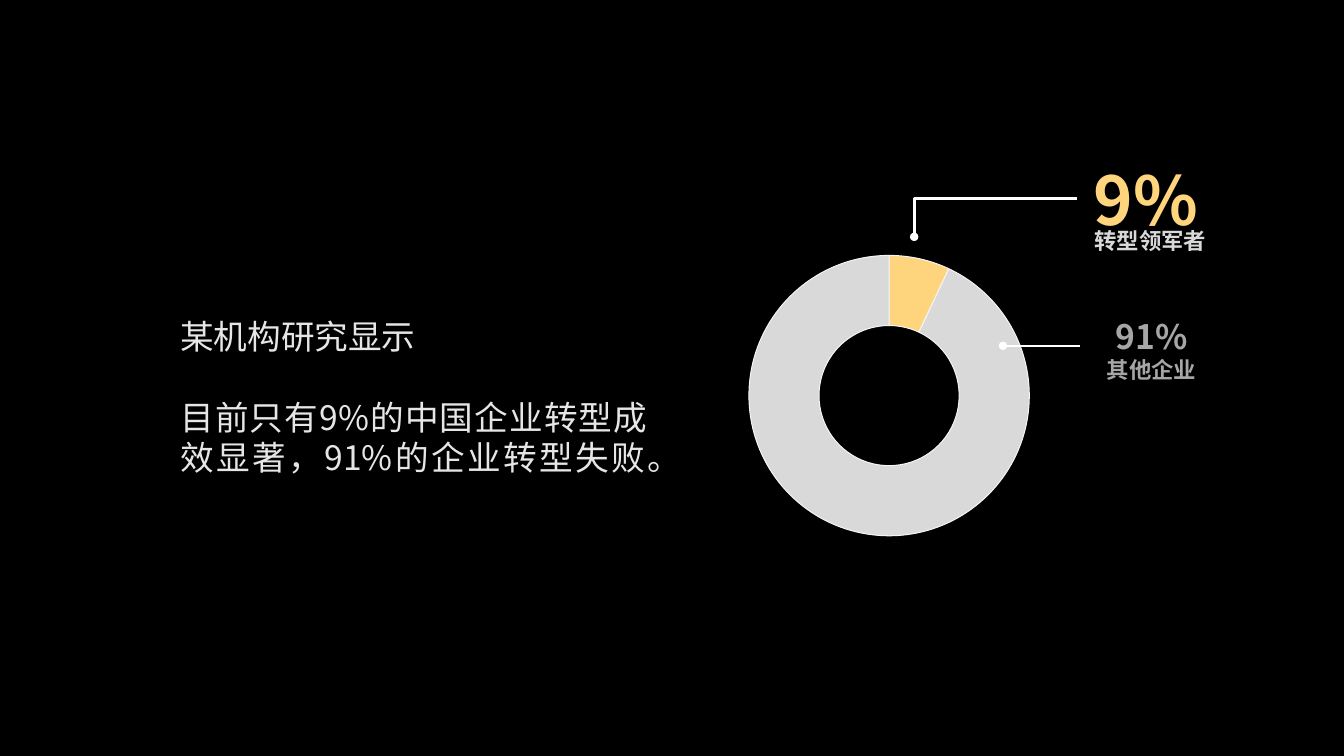
from lxml import etree
from pptx import Presentation
from pptx.chart.data import CategoryChartData
from pptx.dml.color import RGBColor
from pptx.enum.chart import XL_CHART_TYPE
from pptx.enum.shapes import MSO_CONNECTOR
from pptx.enum.text import PP_ALIGN
from pptx.oxml import parse_xml
from pptx.oxml.ns import nsdecls, qn
from pptx.util import Pt

FONT = "Noto Sans CJK SC"


def rgb(color):
    return RGBColor.from_string(color)


def add_text(x, y, w, h, lines, color, align, bold=True, gap=0):
    """Add a text box; lines holds (text, size) pairs, gap is the space between them."""
    tf = s.shapes.add_textbox(Pt(x), Pt(y), Pt(w), Pt(h)).text_frame
    tf.word_wrap = True
    tf.margin_top = Pt(3.6 + lines[0][1] * 0.1)
    for i, (text, size) in enumerate(lines):
        p = tf.paragraphs[0] if i == 0 else tf.add_paragraph()
        p.text = text
        p.alignment = align
        p.line_spacing = Pt(size * 1.2)
        if i and gap:
            p.space_before = Pt(gap)
        for r in p.runs:
            r.font.name = FONT
            r.font.size = Pt(size)
            r.font.bold = bold
            r.font.color.rgb = rgb(color)
            ea = etree.SubElement(r.font._element, qn("a:ea"))
            ea.set("typeface", FONT)


prs = Presentation()
prs.slide_width, prs.slide_height = Pt(960), Pt(540)
s = prs.slides.add_slide(prs.slide_layouts[6])
s.background.fill.solid()
s.background.fill.fore_color.rgb = rgb("000000")

# Doughnut chart
data = CategoryChartData()
data.categories = ["1", "2"]
data.add_series("Series 1", (7, 93))
chart = s.shapes.add_chart(XL_CHART_TYPE.DOUGHNUT, Pt(496), Pt(175.7),
                           Pt(282.2), Pt(218.2), data).chart
chart.has_legend = False
chart.has_title = False
chart.font.name = FONT
chart.font.size = Pt(10)
chart.font.color.rgb = rgb("000000")
plot = chart.plots[0]
plot.vary_by_categories = True
plot.has_data_labels = False
for i, color in enumerate(("FED47D", "D9D9D9")):
    fmt = plot.series[0].points[i].format
    fmt.fill.solid()
    fmt.fill.fore_color.rgb = rgb(color)
    fmt.line.color.rgb = rgb("F4F4F4")
    fmt.line.width = Pt(0.75)

# Hole size and plot position
plot._element.find(qn("c:holeSize")).set("val", "62")
area = chart._chartSpace.chart.plotArea
for old in area.findall(qn("c:layout")):
    area.remove(old)
places = "".join(f'<c:{k} val="{v}"/>' for k, v in (
    ("layoutTarget", "inner"), ("xMode", "edge"), ("yMode", "edge"),
    ("x", 0.138), ("y", 0.031), ("w", 0.71), ("h", 0.918)))
area.insert(0, parse_xml(
    f'<c:layout {nsdecls("c")}><c:manualLayout>{places}</c:manualLayout></c:layout>'))

# Callout lines with a round start
for kind, x1, y1, x2, y2, width in (
        (MSO_CONNECTOR.ELBOW, 653, 169.2, 769.3, 141.8, 2),
        (MSO_CONNECTOR.STRAIGHT, 716.4, 247, 771.1, 247, 1.75)):
    line = s.shapes.add_connector(kind, Pt(x1), Pt(y1), Pt(x2), Pt(y2))
    line.line.color.rgb = rgb("FFFFFF")
    line.line.width = Pt(width)
    sp_pr = line._element.spPr
    etree.SubElement(sp_pr.find(qn("a:ln")), qn("a:headEnd")).set("type", "oval")
    etree.SubElement(sp_pr, qn("a:effectLst"))
    if kind == MSO_CONNECTOR.ELBOW:
        # The bend sits at the start
        guide = etree.SubElement(sp_pr.find(qn("a:prstGeom")).find(qn("a:avLst")), qn("a:gd"))
        guide.set("name", "adj1")
        guide.set("fmla", "val 100")

# Callout labels
add_text(769, 104.4, 98.6, 65.5, [("9%", 48)], "FED47D", PP_ALIGN.CENTER)
add_text(774.7, 157, 97, 26.6, [("转型领军者", 16)], "D9D9D9", PP_ALIGN.LEFT)
add_text(773.3, 219.6, 98.6, 55.4, [("91%", 24), ("其他企业", 16)],
         "A6A6A6", PP_ALIGN.CENTER)

# Statement
add_text(121.7, 219.6, 347.8, 123.8,
         [("某机构研究显示", 24),
          ("目前只有9%的中国企业转型成效显著，91%的企业转型失败。", 24)],
         "E7E6E6", PP_ALIGN.JUSTIFY, bold=False, gap=28.8)

prs.save("out.pptx")
